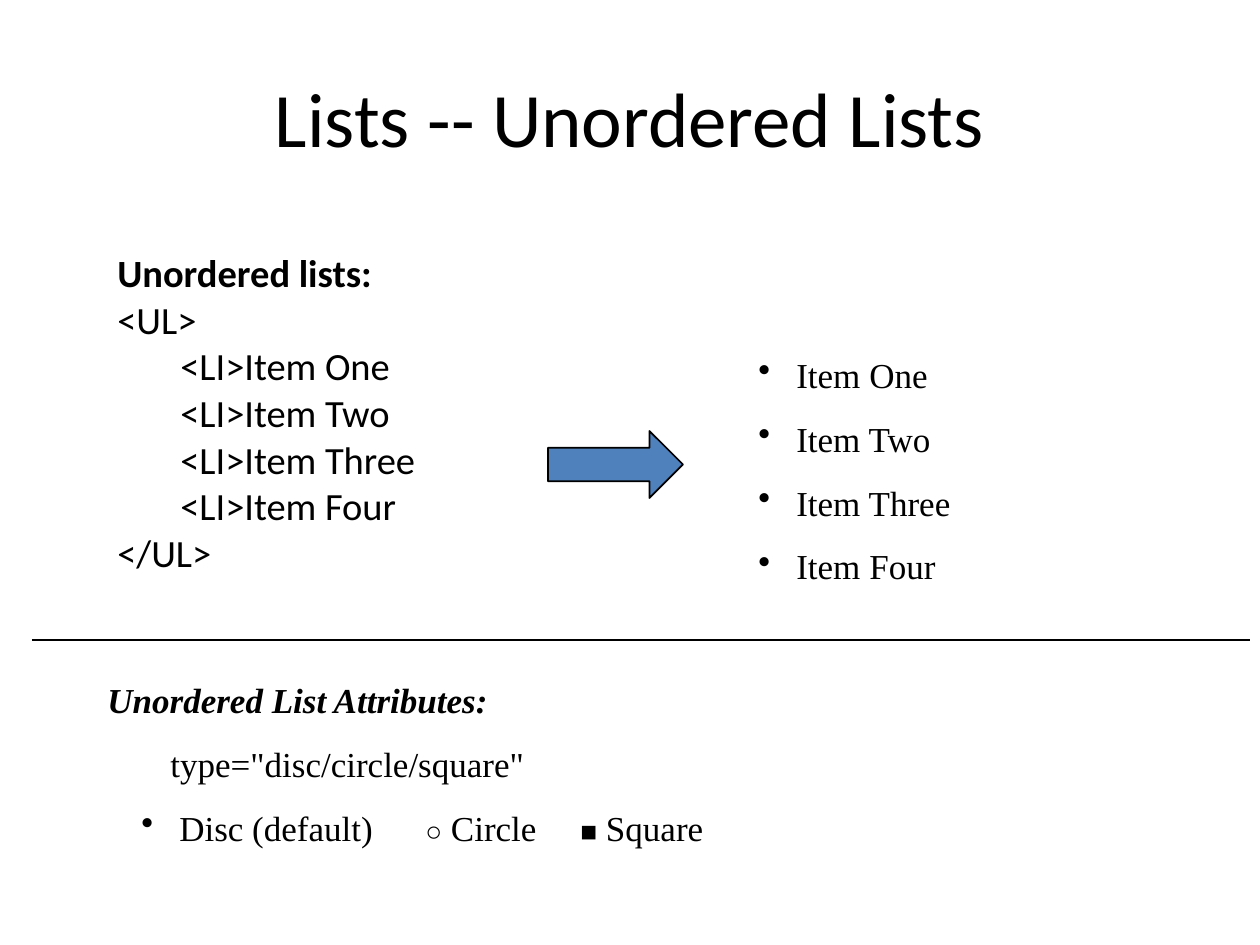
import pptx
import pptx.dml.color
import pptx.enum.shapes
import pptx.enum.text
import pptx.oxml
import pptx.oxml.ns
import pptx.util

BLACK = pptx.dml.color.RGBColor(0x00, 0x00, 0x00)
BLUE = pptx.dml.color.RGBColor(0x4F, 0x81, 0xBD)
SANS = "Calibri"
SERIF = "Times New Roman"
SYMBOL = "Arial"
ITEMS = ["Item One", "Item Two", "Item Three", "Item Four"]


def px(length):
    return round(length * 914400 / 126)


def add_span(para, text, font=SERIF, size=20, bold=False, italic=False):
    span = para.add_run()
    span.text = text
    span.font.name = font
    span.font.size = pptx.util.Pt(size)
    span.font.bold = bold
    span.font.italic = italic
    span.font.color.rgb = BLACK


def add_property(para, xml):
    namespace = pptx.oxml.ns.nsdecls("a")
    element = pptx.oxml.parse_xml(xml.replace(">", f" {namespace}>", 1))
    para._p.get_or_add_pPr().append(element)


class ListPage:
    """Holds the text style and the slide being drawn."""

    def __init__(self, deck, line_width=1):
        self.page = deck.slides.add_slide(deck.slide_layouts[5])
        self.line_width = pptx.util.Pt(line_width)

    def title(self, text, left, top, width, height):
        box = self.page.shapes.title
        box.left, box.top, box.width, box.height = map(px, (left, top, width, height))
        box.text_frame.vertical_anchor = pptx.enum.text.MSO_ANCHOR.MIDDLE
        para = box.text_frame.paragraphs[0]
        para.alignment = pptx.enum.text.PP_ALIGN.CENTER
        add_span(para, text, font=SANS, size=44)

    def text_box(self, left, top, width, height):
        box = self.page.shapes.add_textbox(*map(px, (left, top, width, height)))
        box.text_frame.word_wrap = True
        return box.text_frame

    def paragraph(self, frame, before=12.5, spacing=None, margin=0, hanging=0, bullet=False, tabs=()):
        first = not frame.paragraphs[0].runs
        para = frame.paragraphs[0] if first else frame.add_paragraph()
        para.space_before = pptx.util.Pt(0 if first else before)
        if spacing:
            para.line_spacing = spacing
        properties = para._p.get_or_add_pPr()
        properties.set("marL", str(px(margin)))
        properties.set("indent", str(px(-hanging)))
        if bullet:
            add_property(para, f'<a:buClr><a:srgbClr val="{BLACK}"/></a:buClr>')
            add_property(para, '<a:buChar char="•"></a:buChar>')
        if tabs:
            stops = "".join(f'<a:tab pos="{px(stop)}" algn="l"/>' for stop in tabs)
            add_property(para, f"<a:tabLst>{stops}</a:tabLst>")
        return para

    def arrow(self, left, top, width, height):
        kind = pptx.enum.shapes.MSO_SHAPE.RIGHT_ARROW
        shape = self.page.shapes.add_shape(kind, *map(px, (left, top, width, height)))
        shape.shadow.inherit = False
        shape.fill.solid()
        shape.fill.fore_color.rgb = BLUE
        shape.line.color.rgb = BLACK
        shape.line.width = self.line_width

    def rule(self, left, right, top):
        kind = pptx.enum.shapes.MSO_CONNECTOR.STRAIGHT
        line = self.page.shapes.add_connector(kind, *map(px, (left, top, right, top)))
        line.line.color.rgb = BLACK
        line.line.width = self.line_width
        effects = f'<a:effectLst {pptx.oxml.ns.nsdecls("a")}/>'
        line._element.spPr.append(pptx.oxml.parse_xml(effects))


def main():
    deck = pptx.Presentation()
    deck.slide_width, deck.slide_height = px(1260), px(945)
    page = ListPage(deck)
    page.title("Lists -- Unordered Lists", 63, 38, 1134, 157)

    markup = page.text_box(105, 252, 431, 357)
    lines = ["Unordered lists:", "<UL>", *(f"\t<LI>{item}" for item in ITEMS), "</UL>"]
    for index, text in enumerate(lines):
        para = page.paragraph(markup, before=5.5, spacing=0.8, tabs=(126,))
        add_span(para, text, font=SANS, size=22, bold=index == 0)

    result = page.text_box(746, 347, 242, 247)
    for item in ITEMS:
        para = page.paragraph(result, margin=38, hanging=38, bullet=True)
        add_span(para, item)

    attributes = page.text_box(95, 672, 1144, 183)
    add_span(page.paragraph(attributes), "Unordered List Attributes:", bold=True, italic=True)
    add_span(page.paragraph(attributes, margin=63), 'type="disc/circle/square"')
    kinds = page.paragraph(attributes, margin=72, hanging=38, bullet=True, tabs=(318, 473))
    add_span(kinds, "Disc (default)")
    for symbol, name in (("○", "Circle"), ("■", "Square")):
        add_span(kinds, f"\t{symbol}", font=SYMBOL, size=16)
        add_span(kinds, f" {name}")

    page.arrow(548, 431, 135, 67)
    page.rule(32, 1250, 640)
    deck.save("out.pptx")


if __name__ == "__main__":
    main()
